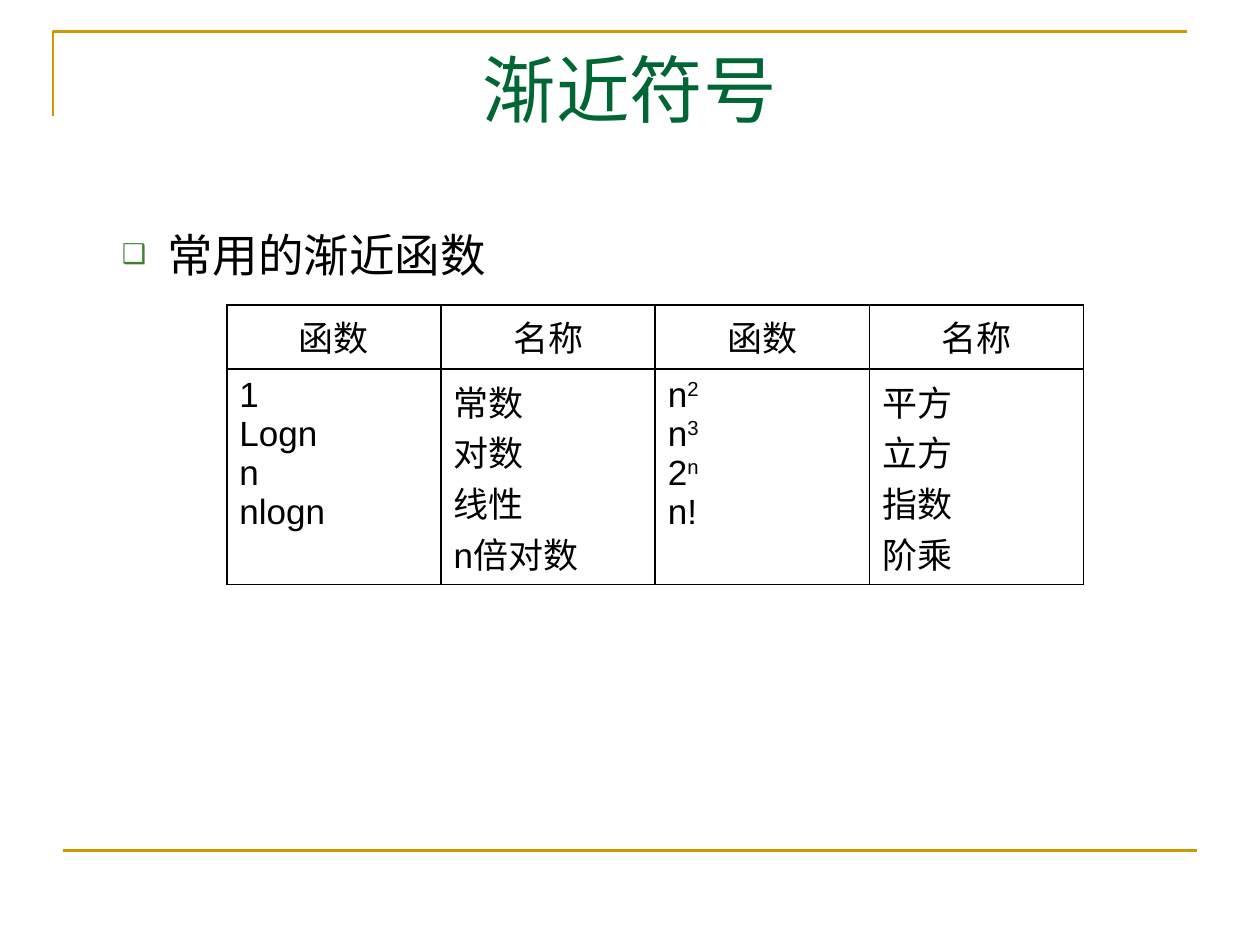
from dataclasses import dataclass

from lxml.etree import SubElement
from pptx import Presentation
from pptx.dml.color import RGBColor
from pptx.enum.text import MSO_ANCHOR, PP_ALIGN
from pptx.oxml.ns import qn
from pptx.util import Inches, Pt


@dataclass(frozen=True)
class Theme:
    gold: str = "CC9900"
    green: str = "006633"
    bullet: str = "3B812F"
    ink: str = "000000"
    title_font: str = "TeX Gyre Pagella"
    body_font: str = "Arial"
    title_size: int = 42
    body_size: int = 26
    table_size: int = 20
    rule_width: float = 1.5
    border_width: int = 1


@dataclass(frozen=True)
class TextBox:
    text: str
    top: float
    height: float
    font: str
    size: int
    color: str
    align: PP_ALIGN


@dataclass(frozen=True)
class TableColumn:
    header: str
    entries: tuple[str, ...]


THEME = Theme()
MARGIN, CONTENT_WIDTH = 0.5, 9
# Rows are tall enough for one and four lines of Chinese text
COLUMN_WIDTH, ROW_HEIGHTS = 1.7, (0.51, 1.71)

TITLE = TextBox("渐近符号", 0.3, 1.25, THEME.title_font, THEME.title_size,
                THEME.green, PP_ALIGN.CENTER)
BODY = TextBox("常用的渐近函数", 1.75, 4.89, THEME.body_font, THEME.body_size,
               THEME.ink, PP_ALIGN.LEFT)

# A caret marks the start of a superscript
COLUMNS = (
    TableColumn("函数", ("1", "Logn", "n", "nlogn")),
    TableColumn("名称", ("常数", "对数", "线性", "n倍对数")),
    TableColumn("函数", ("n^2", "n^3", "2^n", "n!")),
    TableColumn("名称", ("平方", "立方", "指数", "阶乘")),
)


def apply_format(target, values: dict) -> None:
    for name, value in values.items():
        setattr(target, name, value)


def add_run(paragraph, text: str, font: str, size: int, color: str):
    run = paragraph.add_run()
    run.text = text
    apply_format(run.font, {"name": font, "size": Pt(size)})
    run.font.color.rgb = RGBColor.from_string(color)
    return run


def style_line(shape) -> None:
    shape.line.color.rgb = RGBColor.from_string(THEME.gold)
    shape.line.width = Pt(THEME.rule_width)


def add_frame(slide) -> None:
    # Corner at the top left
    left, top, right, bottom = 0.42, 0.25, 9.42, 0.92
    builder = slide.shapes.build_freeform(Inches(left), Inches(bottom))
    builder.add_line_segments(
        [(Inches(left), Inches(top)), (Inches(right), Inches(top))], close=False)
    corner = builder.convert_to_shape()
    corner.shadow.inherit = False
    corner.fill.background()
    style_line(corner)

    # Rule at the foot
    foot = Inches(6.75)
    rule = slide.shapes.add_connector(
        1, Inches(MARGIN), foot, Inches(MARGIN + CONTENT_WIDTH), foot)
    style_line(rule)
    SubElement(rule._element.spPr, qn("a:effectLst"))


def add_text(slide, box: TextBox):
    shape = slide.shapes.add_textbox(
        Inches(MARGIN), Inches(box.top), Inches(CONTENT_WIDTH), Inches(box.height))
    apply_format(shape.text_frame,
                 {"word_wrap": True, "vertical_anchor": MSO_ANCHOR.TOP})
    paragraph = shape.text_frame.paragraphs[0]
    paragraph.alignment = box.align
    add_run(paragraph, box.text, box.font, box.size, box.color)
    return paragraph


def add_bullet(paragraph) -> None:
    properties = paragraph._p.get_or_add_pPr()
    apply_format(paragraph, {"space_before": Pt(0.2 * THEME.body_size)})
    properties.set("marL", str(Inches(0.73)))
    properties.set("indent", str(Inches(-0.36)))
    color = SubElement(properties, qn("a:buClr"))
    SubElement(color, qn("a:srgbClr"), val=THEME.bullet)
    SubElement(properties, qn("a:buSzPct"), val="60000")
    SubElement(properties, qn("a:buFont"), typeface=THEME.body_font)
    SubElement(properties, qn("a:buChar"), char="❑")


def add_borders(cell) -> None:
    properties = cell._tc.get_or_add_tcPr()
    for side in ("lnL", "lnR", "lnT", "lnB"):
        line = SubElement(properties, qn(f"a:{side}"),
                          w=str(Pt(THEME.border_width)))
        fill = SubElement(line, qn("a:solidFill"))
        SubElement(fill, qn("a:srgbClr"), val=THEME.ink)


def fill_cell(cell, lines: tuple[str, ...], align: PP_ALIGN) -> None:
    add_borders(cell)
    cell.fill.background()
    style = (THEME.body_font, THEME.table_size, THEME.ink)
    for index, line in enumerate(lines):
        frame = cell.text_frame
        paragraph = frame.add_paragraph() if index else frame.paragraphs[0]
        paragraph.alignment = align
        base, _, exponent = line.partition("^")
        add_run(paragraph, base, *style)
        if exponent:
            run = add_run(paragraph, exponent, *style)
            run._r.get_or_add_rPr().set("baseline", "30000")


def add_function_table(slide) -> None:
    table = slide.shapes.add_table(
        len(ROW_HEIGHTS), len(COLUMNS), Inches(1.8), Inches(2.42),
        Inches(COLUMN_WIDTH * len(COLUMNS)), Inches(sum(ROW_HEIGHTS))).table
    apply_format(table, {"first_row": False, "horz_banding": False})
    for row, height in zip(table.rows, ROW_HEIGHTS):
        row.height = Inches(height)
    for index, column in enumerate(COLUMNS):
        table.columns[index].width = Inches(COLUMN_WIDTH)
        fill_cell(table.cell(0, index), (column.header,), PP_ALIGN.CENTER)
        fill_cell(table.cell(1, index), column.entries, PP_ALIGN.LEFT)


presentation = Presentation()
apply_format(presentation, {"slide_width": Inches(10), "slide_height": Inches(7.5)})
slide = presentation.slides.add_slide(presentation.slide_layouts[6])
add_frame(slide)
add_text(slide, TITLE)
add_bullet(add_text(slide, BODY))
add_function_table(slide)
presentation.save("out.pptx")
